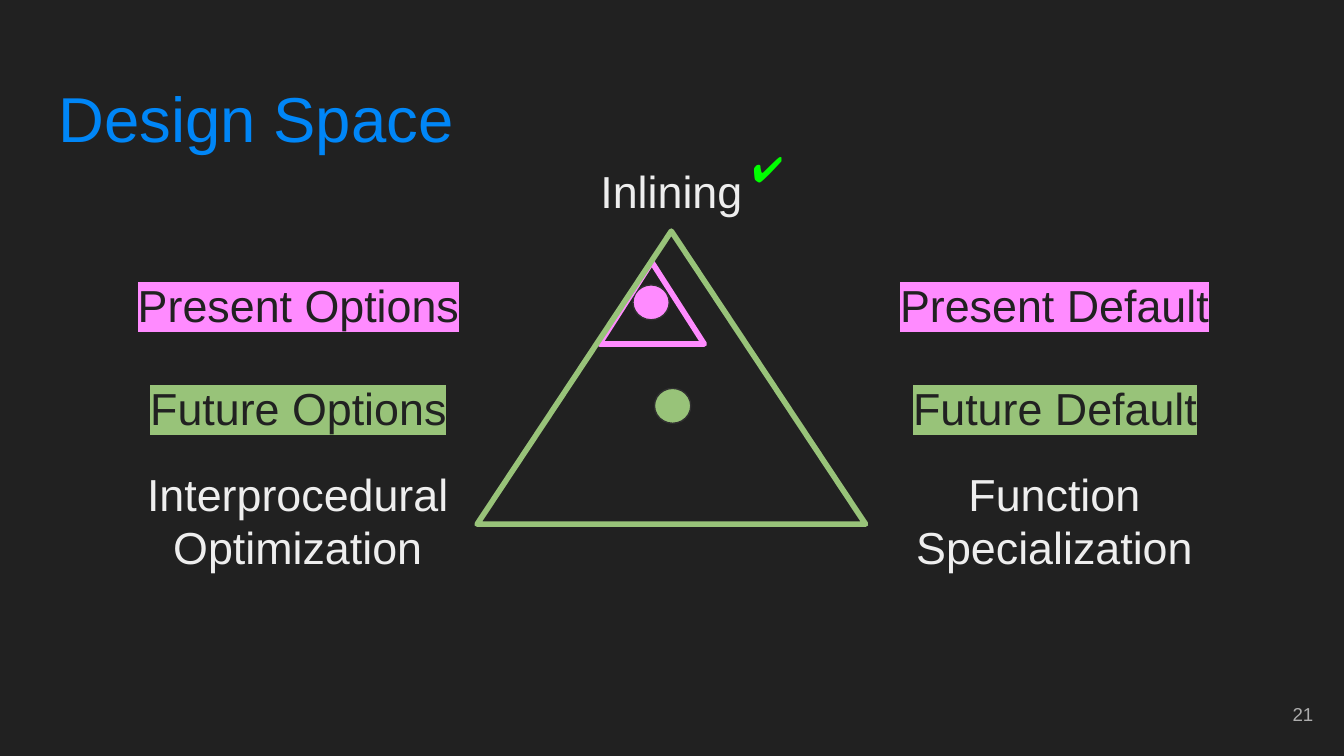
from dataclasses import dataclass
from typing import Optional

from lxml.etree import SubElement
from pptx import Presentation
from pptx.dml.color import RGBColor
from pptx.enum.shapes import MSO_SHAPE
from pptx.enum.text import MSO_ANCHOR, PP_ALIGN
from pptx.oxml.ns import qn
from pptx.util import Inches, Pt

COLOURS = {
    "background": "212121",
    "light": "EEEEEE",
    "present": "FF8BFF",
    "future": "98C379",
    "outline": "303030",
    "title": "0086F7",
    "check": "00FF00",
    "number": "ADADAD",
}


@dataclass
class Label:
    text: str
    left: float
    top: float
    width: float
    height: float
    size: float = 24
    colour: str = "light"
    highlight: Optional[str] = None
    align: PP_ALIGN = PP_ALIGN.CENTER
    anchor: MSO_ANCHOR = MSO_ANCHOR.TOP
    font: str = "Arial"
    line_spacing: float = 1.0
    space_before: float = 0
    space_after: float = 0


@dataclass
class Figure:
    kind: MSO_SHAPE
    left: float
    top: float
    width: float
    height: float
    line: str
    line_width: float
    fill: Optional[str] = None


def colour_of(name: str) -> RGBColor:
    return RGBColor.from_string(COLOURS[name])


def draw_label(page, label: Label) -> None:
    box = page.shapes.add_textbox(Inches(label.left), Inches(label.top),
                                  Inches(label.width), Inches(label.height))
    frame = box.text_frame
    frame.word_wrap = True
    frame.vertical_anchor = label.anchor
    frame.margin_left = frame.margin_right = Inches(0.1)
    frame.margin_top = frame.margin_bottom = Inches(0.1)
    para = frame.paragraphs[0]
    para.alignment = label.align
    para.line_spacing = label.line_spacing
    para.space_before = Pt(label.space_before)
    para.space_after = Pt(label.space_after)
    span = para.add_run()
    span.text = label.text
    span.font.size = Pt(label.size)
    span.font.color.rgb = colour_of(label.colour)
    if label.highlight:
        marker = SubElement(span.font._element, qn("a:highlight"))
        SubElement(marker, qn("a:srgbClr"), val=COLOURS[label.highlight])
    span.font.name = label.font


def draw_figure(page, figure: Figure) -> None:
    shape = page.shapes.add_shape(figure.kind, Inches(figure.left), Inches(figure.top),
                                  Inches(figure.width), Inches(figure.height))
    shape.shadow.inherit = False
    if figure.fill:
        shape.fill.solid()
        shape.fill.fore_color.rgb = colour_of(figure.fill)
    else:
        shape.fill.background()
    shape.line.color.rgb = colour_of(figure.line)
    shape.line.width = Pt(figure.line_width)
    SubElement(shape.line._get_or_add_ln(), qn("a:round"))


DOT = MSO_SHAPE.FLOWCHART_CONNECTOR
TRIANGLE = MSO_SHAPE.FLOWCHART_EXTRACT

FIGURES = [
    # Default points
    Figure(DOT, 4.71, 2.12, 0.27, 0.26, "outline", 0.75, "present"),
    Figure(DOT, 4.87, 2.89, 0.27, 0.26, "outline", 0.75, "future"),
    # Option ranges
    Figure(TRIANGLE, 4.46, 1.95, 0.78, 0.61, "present", 3),
    Figure(TRIANGLE, 3.55, 1.72, 2.89, 2.18, "future", 3),
]

LABELS = [
    # Corners of the design space
    Label("Inlining", 4, 1.12, 1.99, 0.54),
    Label("Interprocedural Optimization", 0.51, 3.37, 3.41, 0.54),
    Label("Function Specialization", 6.14, 3.37, 3.41, 0.54),
    # Legend
    Label("Present Options", 0.75, 1.97, 2.94, 0.57, colour="background", highlight="present"),
    Label("Future Options", 0.93, 2.73, 2.58, 0.57, colour="background", highlight="future"),
    Label("Present Default", 6.59, 1.97, 2.51, 0.57, colour="background", highlight="present"),
    Label("Future Default", 6.68, 2.73, 2.34, 0.57, colour="background", highlight="future"),
    # Title, check mark and page number
    Label("Design Space", 0.34, 0.49, 9.32, 0.81, 34, "title", align=PP_ALIGN.LEFT),
    Label("✔", 5.5, 0.95, 0.56, 0.61, 19, "check", align=PP_ALIGN.LEFT, font="Roboto",
          line_spacing=1.15, space_before=15, space_after=8),
    Label("21", 9.27, 5.1, 0.6, 0.43, 10, "number", align=PP_ALIGN.RIGHT,
          anchor=MSO_ANCHOR.MIDDLE),
]


def main() -> None:
    deck = Presentation()
    deck.slide_width = Inches(10)
    deck.slide_height = Inches(10 * 9 / 16)
    page = deck.slides.add_slide(deck.slide_layouts[6])
    page.background.fill.solid()
    page.background.fill.fore_color.rgb = colour_of("background")
    for figure in FIGURES:
        draw_figure(page, figure)
    for label in LABELS:
        draw_label(page, label)
    deck.save("out.pptx")


if __name__ == "__main__":
    main()
